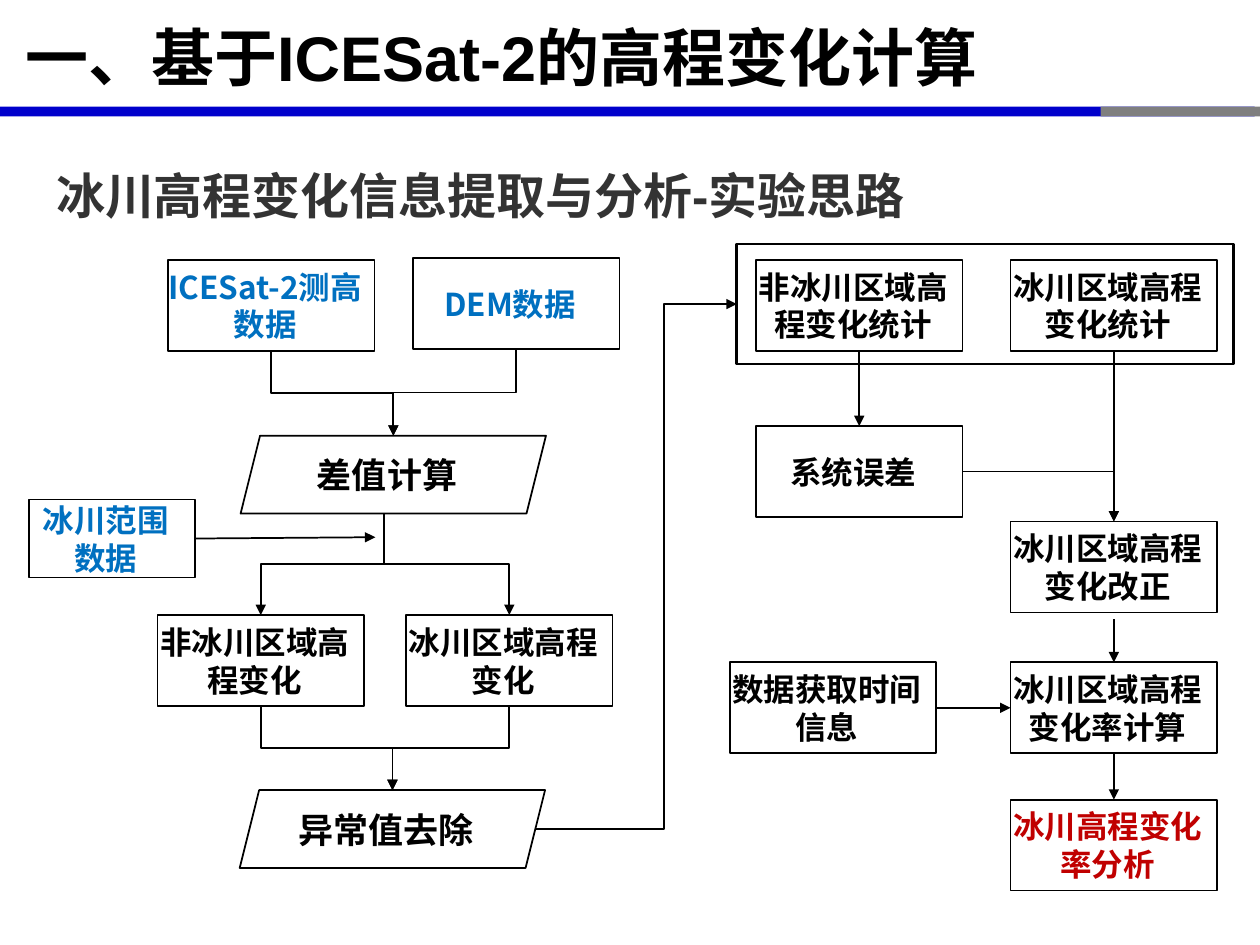
from dataclasses import dataclass

from lxml import etree
from pptx import Presentation
from pptx.dml.color import RGBColor
from pptx.enum.shapes import MSO_CONNECTOR, MSO_SHAPE
from pptx.enum.text import MSO_ANCHOR, PP_ALIGN
from pptx.oxml.ns import qn
from pptx.util import Pt

RECT, SKEW = MSO_SHAPE.RECTANGLE, MSO_SHAPE.PARALLELOGRAM
STRAIGHT, ELBOW = MSO_CONNECTOR.STRAIGHT, MSO_CONNECTOR.ELBOW
LEFT, CENTER, JUSTIFY = PP_ALIGN.LEFT, PP_ALIGN.CENTER, PP_ALIGN.JUSTIFY
TOP, MIDDLE = MSO_ANCHOR.TOP, MSO_ANCHOR.MIDDLE


@dataclass(frozen=True)
class Theme:
    """Colours, fonts and sizes of the slide."""
    ink: str = "000000"
    subtitle: str = "333333"
    source: str = "0070C0"
    result: str = "C00000"
    bar: str = "0000CC"
    bar_end: str = "7F7F7F"
    heading_font: str = "Arial"
    body_font: str = "Noto Sans CJK SC"
    title_size: int = 36
    subtitle_size: int = 28
    step_size: int = 20
    node_size: int = 18


@dataclass(frozen=True)
class Box:
    """A rectangle in points with its anchor points."""
    left: float
    top: float
    width: float
    height: float
    lean: float = 0

    def inner(self, left, top, width, height, lean=0):
        """Return a box placed relative to this one."""
        return Box(self.left + left, self.top + top, width, height, lean)

    @property
    def north(self):
        """Return the middle of the top edge."""
        return self.left + self.width / 2, self.top

    @property
    def south(self):
        """Return the middle of the bottom edge."""
        return self.left + self.width / 2 - self.lean, self.top + self.height

    @property
    def west(self):
        """Return the middle of the left edge."""
        return self.left, self.top + self.height / 2

    @property
    def east(self):
        """Return the middle of the right edge."""
        return self.left + self.width - self.lean, self.top + self.height / 2


THEME = Theme()
NODE = (118, 52)
STEP = (174.5, 44.5)
STEP_LEAN = 5.5


def add_panel(page, box, shape=RECT, fill=None, line=None, weight=1):
    """Draw a preset shape with optional fill and outline."""
    panel = page.shapes.add_shape(shape, Pt(box.left), Pt(box.top), Pt(box.width), Pt(box.height))
    panel.shadow.inherit = False
    if fill:
        panel.fill.solid()
        panel.fill.fore_color.rgb = RGBColor.from_string(fill)
    else:
        panel.fill.background()
    if line:
        panel.line.color.rgb = RGBColor.from_string(line)
        panel.line.width = Pt(weight)
    else:
        panel.line.fill.background()
    return panel


def write(shape, text, size, color, font, align, anchor, insets):
    """Put one bold run in a shape and return its paragraph."""
    frame = shape.text_frame
    frame.word_wrap = True
    frame.vertical_anchor = anchor
    frame.margin_left, frame.margin_right = (Pt(inset) for inset in insets)
    frame.margin_top = frame.margin_bottom = Pt(3.6)
    para = frame.paragraphs[0]
    para.alignment = align
    span = para.add_run()
    span.text = text
    span.font.name, span.font.size, span.font.bold = font, Pt(size), True
    span.font.color.rgb = RGBColor.from_string(color)
    east_asian = etree.SubElement(span.font._element, qn("a:ea"))
    east_asian.set("typeface", THEME.body_font)
    return para


def add_node(page, area, left, top, text, color=THEME.ink, size=NODE):
    """Add a labelled rectangle and return its box."""
    box = area.inner(left, top, *size)
    write(add_panel(page, box, line=THEME.ink), text, THEME.node_size, color,
          THEME.body_font, CENTER, MIDDLE, (0, 7.2))
    return box


def add_step(page, area, left, top, text):
    """Add a labelled parallelogram and return its box."""
    box = area.inner(left, top, *STEP, STEP_LEAN)
    panel = add_panel(page, box, SKEW, line=THEME.ink)
    panel.adjustments[0] = 0.25
    write(panel, text, THEME.step_size, THEME.ink, THEME.body_font, CENTER, MIDDLE, (0, 7.2))
    return box


def add_arrow(page, start, end, kind=STRAIGHT):
    """Add a black connector with a triangle at its end."""
    arrow = page.shapes.add_connector(kind, *(Pt(value) for value in (*start, *end)))
    arrow.line.color.rgb = RGBColor.from_string(THEME.ink)
    arrow.line.width = Pt(1)
    etree.SubElement(arrow.line._get_or_add_ln(), qn("a:tailEnd")).set("type", "triangle")
    etree.SubElement(arrow.element.spPr, qn("a:effectLst"))
    return arrow


def add_drop(page, start, end):
    """Add an elbow that leaves and arrives vertically."""
    (x1, y1), (x2, y2) = start, end
    middle_x, middle_y = (x1 + x2) / 2, (y1 + y2) / 2
    reach = (y2 - y1) / 2 * (1 if x2 > x1 else -1)
    rise = abs(x2 - x1) / 2
    arrow = add_arrow(page, (middle_x + reach, middle_y - rise),
                      (middle_x - reach, middle_y + rise), ELBOW)
    degrees = 270 if x2 > x1 else 90
    arrow.element.spPr.find(qn("a:xfrm")).set("rot", str(degrees * 60000))


def add_turn(page, start, end, preset="bentConnector3", bend=None):
    """Add an elbow that leaves horizontally."""
    arrow = add_arrow(page, start, end, ELBOW)
    geometry = arrow.element.spPr.find(qn("a:prstGeom"))
    geometry.set("prst", preset)
    if bend is not None:
        guide = etree.SubElement(geometry.find(qn("a:avLst")), qn("a:gd"))
        guide.set("name", "adj1")
        guide.set("fmla", f"val {round(bend * 100000)}")


def add_header(page, area):
    """Add the title, its two-colour rule and the subtitle."""
    add_panel(page, area.inner(0, 61, 717, 5.6), fill=THEME.bar)
    add_panel(page, area.inner(629, 61, 91, 5.6), fill=THEME.bar_end)
    title = page.shapes.add_textbox(Pt(area.left), Pt(area.top + 0.7), Pt(710), Pt(62.6))
    write(title, "一、基于ICESat-2的高程变化计算", THEME.title_size, THEME.ink,
          THEME.heading_font, LEFT, MIDDLE, (14.4, 7.2))
    subtitle = page.shapes.add_textbox(Pt(area.left + 25), Pt(area.top + 74), Pt(543), Pt(52))
    para = write(subtitle, "冰川高程变化信息提取与分析-实验思路", THEME.subtitle_size,
                 THEME.subtitle, THEME.heading_font, JUSTIFY, TOP, (7.2, 7.2))
    para.line_spacing = 1.5


def add_difference_flow(page, area):
    """Add the flow from source data to outlier removal and return its last step."""
    altimetry = add_node(page, area, 80, 1, "ICESat-2测高数据", THEME.source)
    terrain = add_node(page, area, 220, 0, "DEM数据", THEME.source)
    extent = add_node(page, area, 0.5, 138, "冰川范围数据", THEME.source, (95, 44.5))
    difference = add_step(page, area, 121.5, 101.5, "差值计算")
    bare = add_node(page, area, 74, 204, "非冰川区域高程变化")
    glacier = add_node(page, area, 216, 204, "冰川区域高程变化")
    outliers = add_step(page, area, 121, 304, "异常值去除")
    for start, end in ((altimetry, difference), (terrain, difference), (difference, bare),
                       (difference, glacier), (bare, outliers), (glacier, outliers)):
        add_drop(page, start.south, end.north)
    x, y = extent.east
    add_arrow(page, (x, y), (x + 103, y - 0.75))
    return outliers


def add_statistics_flow(page, area):
    """Add the flow from statistics to rate analysis and return its first frame."""
    frame = area.inner(4, 0, 284, 68.5)
    add_panel(page, frame, line=THEME.ink, weight=1.5)
    bare = add_node(page, area, 15, 9, "非冰川区域高程变化统计")
    glacier = add_node(page, area, 160.5, 9, "冰川区域高程变化统计")
    bias = add_node(page, area, 15, 104, "系统误差")
    corrected = add_node(page, area, 160.5, 158.5, "冰川区域高程变化改正")
    times = add_node(page, area, 0, 239, "数据获取时间信息")
    rate = add_node(page, area, 160.5, 239, "冰川区域高程变化率计算")
    analysis = add_node(page, area, 160.5, 317.5, "冰川高程变化率分析", THEME.result)
    x, y = corrected.south
    for start, end in ((bare.south, bias.north), (glacier.south, corrected.north),
                       ((x, y + 4), rate.north), (times.east, rate.west),
                       (rate.south, analysis.north)):
        add_arrow(page, start, end)
    add_turn(page, bias.east, corrected.north, "bentConnector2")
    return frame


def main():
    """Build and save the slide."""
    deck = Presentation()
    deck.slide_width, deck.slide_height = Pt(720), Pt(540)
    page = deck.slides.add_slide(deck.slide_layouts[6])
    add_header(page, Box(0, 0, 720, 126))
    outliers = add_difference_flow(page, Box(16, 147.5, 339, 349))
    frame = add_statistics_flow(page, Box(417, 139.5, 288, 370))
    add_turn(page, outliers.east, frame.west, bend=0.64)
    deck.save("out.pptx")


if __name__ == "__main__":
    main()
